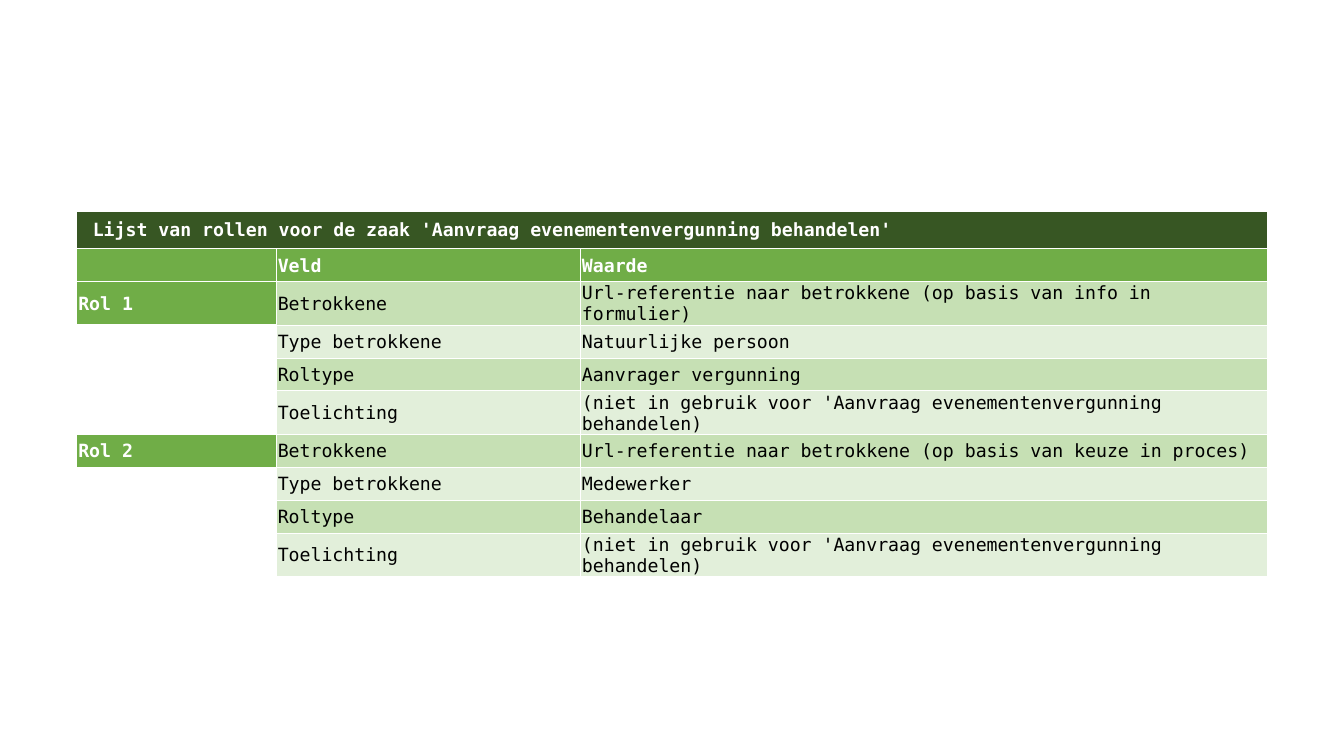
from dataclasses import dataclass

from lxml.etree import SubElement
from pptx import Presentation
from pptx.dml.color import RGBColor as Rgb
from pptx.enum.text import MSO_ANCHOR as Anchor
from pptx.oxml.ns import qn
from pptx.util import Pt


@dataclass(frozen=True)
class Theme:
    font: str = "DejaVu Sans Mono"
    size: float = 13
    border_width: float = 0.5
    white: str = "FFFFFF"
    black: str = "000000"
    title_green: str = "375623"
    header_green: str = "70AD47"
    bands: tuple = ("C6E0B4", "E2EFDA")


THEME = Theme()
TITLE = "Lijst van rollen voor de zaak 'Aanvraag evenementenvergunning behandelen'"
HEADINGS = ("", "Veld", "Waarde")
FIELDS = ("Betrokkene", "Type betrokkene", "Roltype", "Toelichting")
UNUSED = "(niet in gebruik voor 'Aanvraag evenementenvergunning behandelen)"
ROLES = {
    "Rol 1": (
        "Url-referentie naar betrokkene (op basis van info in formulier)",
        "Natuurlijke persoon",
        "Aanvrager vergunning",
        UNUSED,
    ),
    "Rol 2": (
        "Url-referentie naar betrokkene (op basis van keuze in proces)",
        "Medewerker",
        "Behandelaar",
        UNUSED,
    ),
}

# Lengths in points
LEFT, TOP = 54.8, 151
COLUMN_WIDTHS = (142.5, 217.3, 490.8)
ROW_HEIGHT = 23.5
TITLE_MARGINS = (11.5, 5.75, 11.5, 5.75)
CELL_MARGINS = (1.15, 1.15, 1.15, 0)


def add_borders(cell):
    properties = cell._tc.get_or_add_tcPr()
    for side in ("a:lnL", "a:lnR", "a:lnT", "a:lnB"):
        line = SubElement(properties, qn(side), w=str(Pt(THEME.border_width)))
        solid = SubElement(line, qn("a:solidFill"))
        SubElement(solid, qn("a:srgbClr"), val=THEME.white)


def set_margins(cell, margins):
    left, top, right, bottom = map(Pt, margins)
    cell.margin_left, cell.margin_top = left, top
    cell.margin_right, cell.margin_bottom = right, bottom


def fill_cell(cell, text, fill, color=THEME.white, bold=True, margins=CELL_MARGINS):
    set_margins(cell, margins)
    cell.vertical_anchor = Anchor.MIDDLE
    add_borders(cell)
    cell.fill.solid()
    cell.fill.fore_color.rgb = Rgb.from_string(fill)
    if not text:
        return
    cell.text_frame.text = text
    font = cell.text_frame.paragraphs[0].runs[0].font
    font.name, font.size, font.bold = THEME.font, Pt(THEME.size), bold
    font.color.rgb = Rgb.from_string(color)


def clear_cell(cell):
    set_margins(cell, CELL_MARGINS)
    cell.fill.background()


def add_role_table(slide):
    row_count = 2 + len(ROLES) * len(FIELDS)
    roles_table = slide.shapes.add_table(
        row_count, len(COLUMN_WIDTHS), Pt(LEFT), Pt(TOP),
        Pt(sum(COLUMN_WIDTHS)), Pt(ROW_HEIGHT * row_count),
    ).table
    roles_table.first_row = roles_table.horz_banding = False
    for column, width in zip(roles_table.columns, COLUMN_WIDTHS):
        column.width = Pt(width)
    for row in roles_table.rows:
        row.height = Pt(ROW_HEIGHT)
    return roles_table


def fill_role(roles_table, first_row, role, values):
    for offset, (field, value) in enumerate(zip(FIELDS, values)):
        row = first_row + offset
        role_cell = roles_table.cell(row, 0)
        if offset == 0:
            fill_cell(role_cell, role, THEME.header_green)
        else:
            clear_cell(role_cell)
        band = THEME.bands[offset % len(THEME.bands)]
        for column, text in enumerate((field, value), start=1):
            fill_cell(roles_table.cell(row, column), text, band, THEME.black, bold=False)


def main():
    deck = Presentation()
    deck.slide_width, deck.slide_height = Pt(960), Pt(540)
    slide = deck.slides.add_slide(deck.slide_layouts[6])
    roles_table = add_role_table(slide)

    # Title row across all columns
    title_cell = roles_table.cell(0, 0)
    title_cell.merge(roles_table.cell(0, len(COLUMN_WIDTHS) - 1))
    fill_cell(title_cell, TITLE, THEME.title_green, margins=TITLE_MARGINS)

    # Column headings
    for column, heading in enumerate(HEADINGS):
        fill_cell(roles_table.cell(1, column), heading, THEME.header_green)

    # One block of fields per role
    for index, (role, values) in enumerate(ROLES.items()):
        fill_role(roles_table, 2 + index * len(FIELDS), role, values)

    deck.save("out.pptx")


if __name__ == "__main__":
    main()
